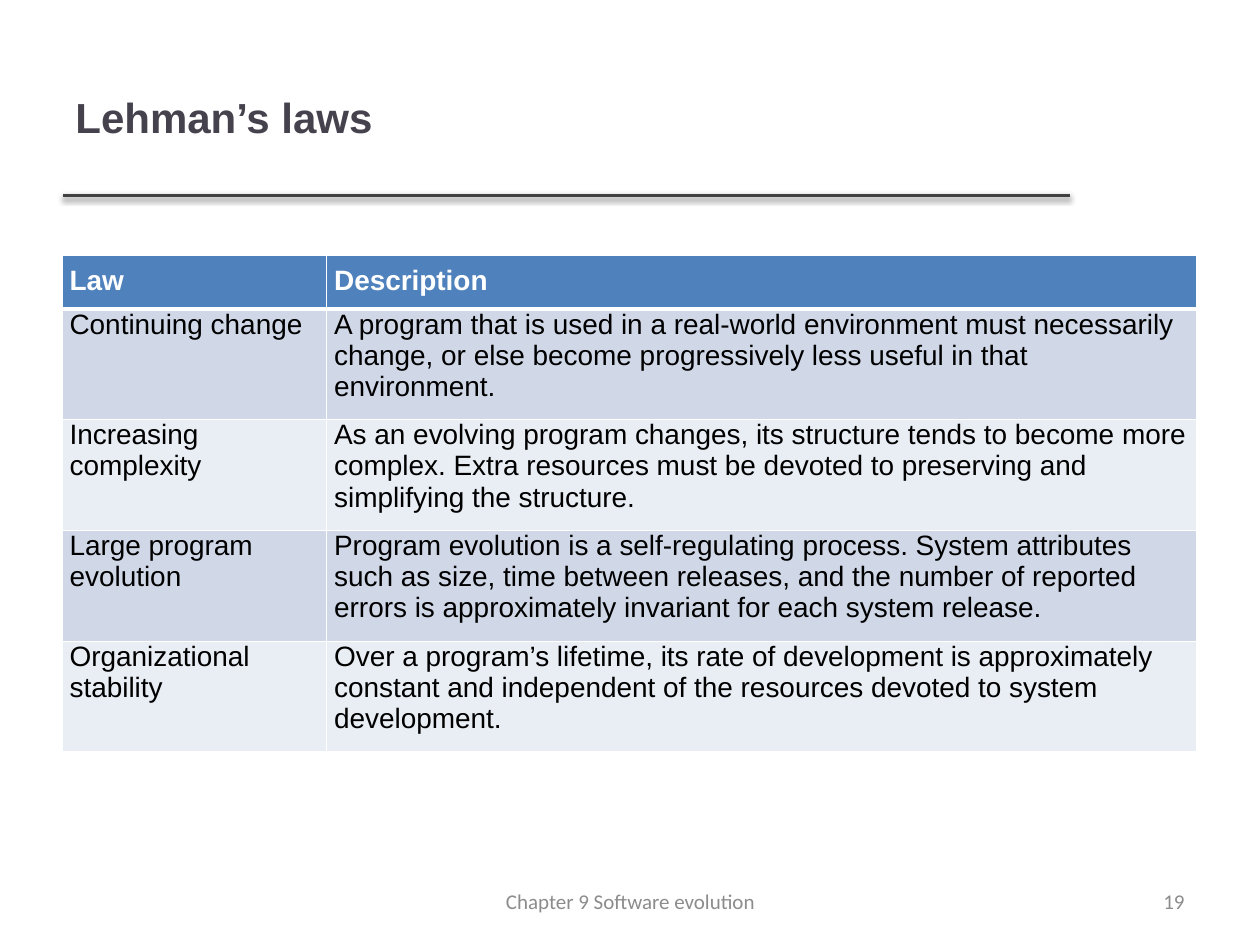
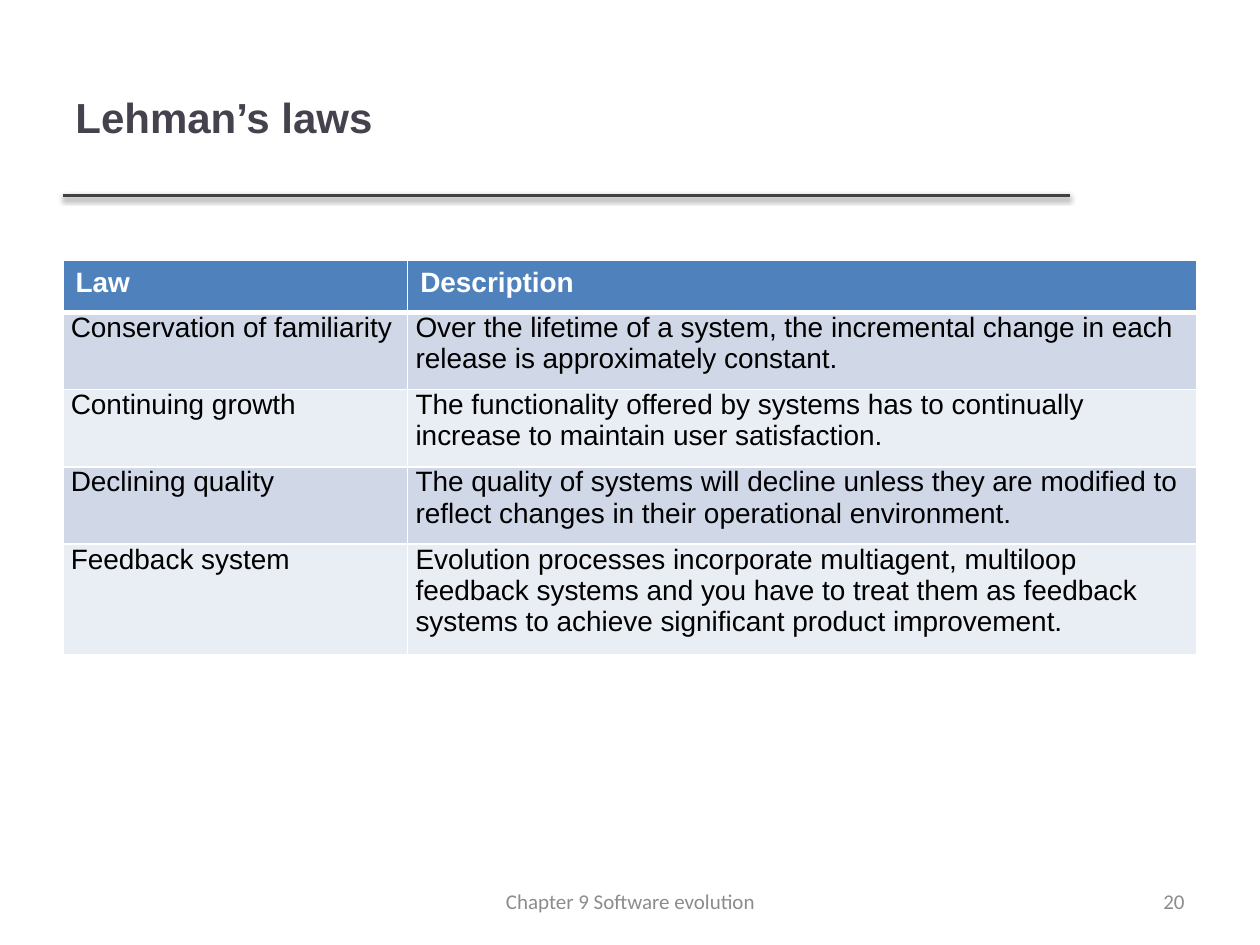
"""Build two slides that tabulate Lehman's laws of software evolution."""
import lxml.etree
import pptx
import pptx.dml.color
import pptx.enum.shapes
import pptx.enum.text
import pptx.oxml.ns
import pptx.util

Pt = pptx.util.Pt
RGB = pptx.dml.color.RGBColor
ALIGN = pptx.enum.text.PP_ALIGN
qn = pptx.oxml.ns.qn

WHITE = RGB(0xFF, 0xFF, 0xFF)
BLACK = RGB(0x00, 0x00, 0x00)
TITLE_INK = RGB(0x46, 0x42, 0x4D)
RULE_GREY = RGB(0x40, 0x40, 0x40)
FOOTER_GREY = RGB(0x8C, 0x8C, 0x8C)
HEADER_BLUE = RGB(0x4F, 0x81, 0xBD)
BANDS = (RGB(0xD0, 0xD8, 0xE8), RGB(0xE9, 0xED, 0xF4))

MARGIN = 36
HEADER_HEIGHT = 29.5
ROW_HEIGHTS = {2: 41.25, 3: 59}
TIGHT_INSETS = (4.5, 0, 4.5, 5.75)
EVEN_INSETS = (4.5, 5.75, 4.5, 5.75)
DEFAULT_INSETS = (7.2, 3.6, 7.2, 3.6)

FIRST_LAWS = [
    ("Continuing change",
     "A program that is used in a real-world environment must necessarily "
     "change, or else become progressively less useful in that environment.", 3),
    ("Increasing complexity",
     "As an evolving program changes, its structure tends to become more "
     "complex. Extra resources must be devoted to preserving and simplifying "
     "the structure.", 3),
    ("Large program evolution",
     "Program evolution is a self-regulating process. System attributes such "
     "as size, time between releases, and the number of reported errors is "
     "approximately invariant for each system release.", 3),
    ("Organizational stability",
     "Over a program’s lifetime, its rate of development is approximately "
     "constant and independent of the resources devoted to system "
     "development.", 3),
]
LATER_LAWS = [
    ("Conservation of familiarity",
     "Over the lifetime of a system, the incremental change in each release "
     "is approximately constant.", 2),
    ("Continuing growth",
     "The functionality offered by systems has to continually increase to "
     "maintain user satisfaction.", 2),
    ("Declining quality",
     "The quality of systems will decline unless they are modified to reflect "
     "changes in their operational environment.", 2),
    ("Feedback system",
     "Evolution processes incorporate multiagent, multiloop feedback systems "
     "and you have to treat them as feedback systems to achieve significant "
     "product improvement.", 3),
]


def write(paragraph, text, font, size, color, bold=False):
    run = paragraph.add_run()
    run.text = text
    run.font.name = font
    run.font.size = Pt(size)
    run.font.bold = bold
    run.font.color.rgb = color


def add_label(slide, bounds, text, font, size, color, bold=False, align=ALIGN.LEFT):
    frame = slide.shapes.add_textbox(*map(Pt, bounds)).text_frame
    frame.word_wrap = True
    frame.vertical_anchor = pptx.enum.text.MSO_ANCHOR.MIDDLE
    frame.paragraphs[0].alignment = align
    write(frame.paragraphs[0], text, font, size, color, bold)


def add_title_rule(slide):
    rule = slide.shapes.add_connector(
        pptx.enum.shapes.MSO_CONNECTOR.STRAIGHT,
        Pt(MARGIN), Pt(111.6), Pt(611.3), Pt(111.6))
    rule.line.color.rgb = RULE_GREY
    rule.line.width = Pt(2)
    effects = lxml.etree.SubElement(rule.element.spPr, qn("a:effectLst"))
    shadow = lxml.etree.SubElement(
        effects, qn("a:outerShdw"), blurRad=str(Pt(3.1)), dist=str(Pt(1.6)),
        dir=str(90 * 60000), rotWithShape="0")
    ink = lxml.etree.SubElement(shadow, qn("a:srgbClr"), val=str(BLACK))
    lxml.etree.SubElement(ink, qn("a:alpha"), val="38000")


def set_borders(cell, top, bottom):
    properties = cell._tc.get_or_add_tcPr()
    for side, width in (("L", 1), ("R", 1), ("T", top), ("B", bottom)):
        edge = lxml.etree.SubElement(properties, qn("a:ln" + side), w=str(Pt(width)))
        fill = lxml.etree.SubElement(edge, qn("a:solidFill"))
        lxml.etree.SubElement(fill, qn("a:srgbClr"), val=str(WHITE))


def fill_cell(cell, text, row, insets, space_after):
    is_header = row == 0
    set_borders(cell, 3 if row == 1 else 1, 3 if is_header else 1)
    cell.fill.solid()
    cell.fill.fore_color.rgb = HEADER_BLUE if is_header else BANDS[(row - 1) % 2]
    (cell.margin_left, cell.margin_top,
     cell.margin_right, cell.margin_bottom) = map(Pt, insets)
    paragraph = cell.text_frame.paragraphs[0]
    paragraph.space_after = Pt(space_after)
    write(paragraph, text, "Arial", 16, WHITE if is_header else BLACK, is_header)


def add_laws_table(slide, left, top, widths, laws, header_insets, header_space):
    heights = [HEADER_HEIGHT] + [ROW_HEIGHTS[lines] for _, _, lines in laws]
    table = slide.shapes.add_table(
        len(heights), len(widths), Pt(left), Pt(top),
        Pt(sum(widths)), Pt(sum(heights))).table
    table.horz_banding = False
    for column, width in zip(table.columns, widths):
        column.width = Pt(width)
    for row, height in zip(table.rows, heights):
        row.height = Pt(height)
    for column, heading in enumerate(("Law", "Description")):
        fill_cell(table.cell(0, column), heading, 0, header_insets, header_space)
    for row, (law, description, _) in enumerate(laws, start=1):
        for column, text in enumerate((law, description)):
            fill_cell(table.cell(row, column), text, row, TIGHT_INSETS, 6)


def add_laws_slide(deck, number, **table_layout):
    slide = deck.slides.add_slide(deck.slide_layouts[6])
    add_title_rule(slide)
    add_label(slide, (MARGIN, 21.6, 574.6, 90), "Lehman’s laws",
              "Arial", 24, TITLE_INK, bold=True)
    add_laws_table(slide, **table_layout)
    add_label(slide, (516.2, 500.4, 167.8, 28.8), str(number),
              "Calibri", 12, FOOTER_GREY, align=ALIGN.RIGHT)
    add_label(slide, (246.2, 500.4, 228.2, 28.8), "Chapter 9 Software evolution",
              "Calibri", 12, FOOTER_GREY, align=ALIGN.CENTER)


def main():
    deck = pptx.Presentation()
    deck.slide_width, deck.slide_height = Pt(720), Pt(540)
    add_laws_slide(deck, 19, left=35.3, top=145.8, widths=(151.2, 497.5),
                   laws=FIRST_LAWS, header_insets=EVEN_INSETS, header_space=6)
    add_laws_slide(deck, 20, left=MARGIN, top=149, widths=(197, 451),
                   laws=LATER_LAWS, header_insets=DEFAULT_INSETS, header_space=0)
    deck.save("out.pptx")


main()
